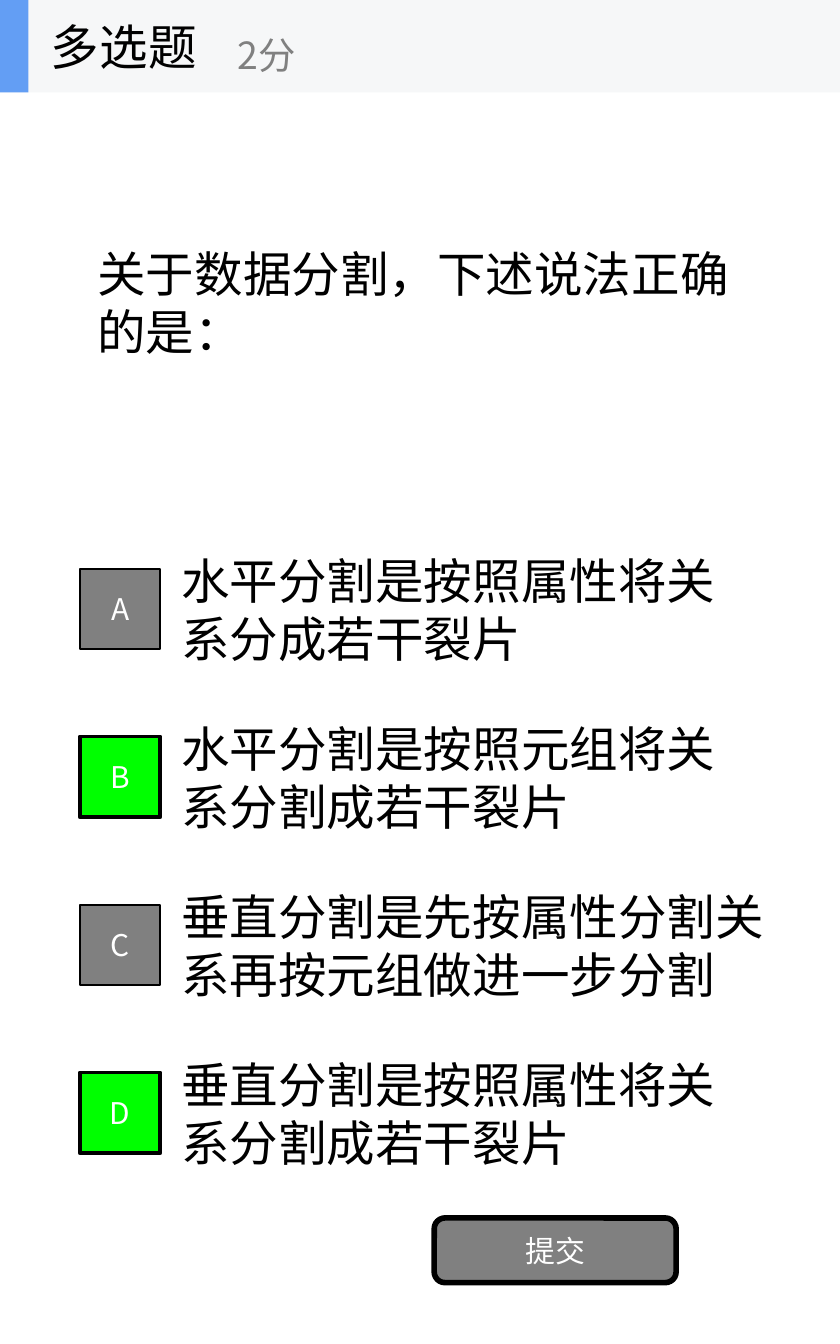
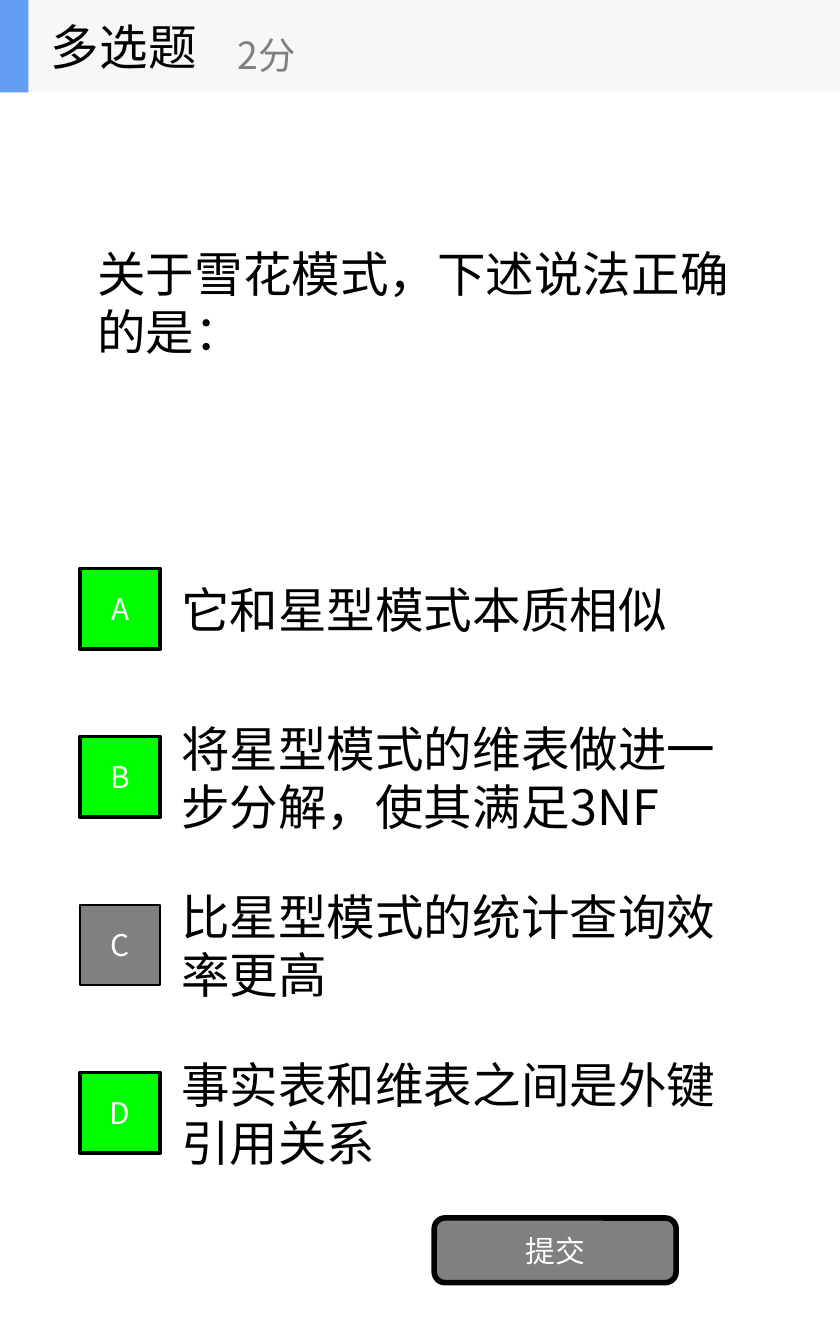
"""Builds two multiple-choice quiz pages on a 10 by 16 grid."""
from lxml import etree
from pptx import Presentation
from pptx import util as u
from pptx.dml import color
from pptx.enum import shapes, text
from pptx.oxml import ns

FONT = "Noto Sans CJK SC"
BLACK, WHITE, GREY, GREEN = "000000", "FFFFFF", "808080", "00FF00"
BAND, ACCENT = "F6F7F8", "639EF4"
CELL = u.Inches(0.625)
HEADER_ROWS, OPTION_ROWS, BADGE = 1.1, 1.5, 0.96
FIRST_OPTION, OPTION_STEP = 6.5, 2
RECT = shapes.MSO_SHAPE.RECTANGLE
ROUNDED = shapes.MSO_SHAPE.ROUNDED_RECTANGLE
LEFT, CENTER = text.PP_ALIGN.LEFT, text.PP_ALIGN.CENTER

QUESTIONS = [
    ("关于数据分割，下述说法正确的是：", "BD", [
        ("水平分割是按照属性将关系分成若干裂片", 7),
        ("水平分割是按照元组将关系分割成若干裂片", 7),
        ("垂直分割是先按属性分割关系再按元组做进一步分割", 7.78),
        ("垂直分割是按照属性将关系分割成若干裂片", 7)]),
    ("关于雪花模式，下述说法正确的是：", "ABD", [
        ("它和星型模式本质相似", 7),
        ("将星型模式的维表做进一步分解，使其满足3NF", 7),
        ("比星型模式的统计查询效率更高", 7),
        ("事实表和维表之间是外键引用关系", 7)]),
]


def rgb(value):
    return color.RGBColor.from_string(value)


def grid(*cells):
    return [round(CELL * cell) for cell in cells]


class Quiz:
    def __init__(self):
        self.deck = Presentation()
        self.deck.slide_width, self.deck.slide_height = grid(10, 16)
        self.page = None

    def new_page(self):
        self.page = self.deck.slides.add_slide(self.deck.slide_layouts[5])

    def fill_text(self, box, words, size, ink=BLACK, align=LEFT, wrap=True):
        frame = box.text_frame
        settings = {"word_wrap": wrap, "auto_size": text.MSO_AUTO_SIZE.NONE,
                    "vertical_anchor": text.MSO_ANCHOR.MIDDLE}
        for name, value in settings.items():
            setattr(frame, name, value)
        para = frame.paragraphs[0]
        para.alignment = align
        span = para.add_run()
        span.text = words
        for name, value in {"name": FONT, "size": u.Pt(size)}.items():
            setattr(span.font, name, value)
        span.font.color.rgb = rgb(ink)
        etree.SubElement(span.font._element, ns.qn("a:ea"), typeface=FONT)

    def title(self, cells, words):
        box = self.page.shapes.title
        for name, value in zip(("left", "top", "width", "height"), grid(*cells)):
            setattr(box, name, value)
        self.fill_text(box, words, 26)

    def label(self, cells, words, size=26, ink=BLACK, wrap=True, group=None):
        box = (group or self.page).shapes.add_textbox(*grid(*cells))
        self.fill_text(box, words, size, ink, wrap=wrap)

    def block(self, cells, fill, kind=RECT, border=0, words="", group=None):
        box = (group or self.page).shapes.add_shape(kind, *grid(*cells))
        box.shadow.inherit = False
        box.fill.solid()
        box.fill.fore_color.rgb = rgb(fill)
        if border:
            box.line.color.rgb = rgb(BLACK)
            box.line.width = u.Pt(border)
        else:
            box.line.fill.background()
        if words:
            self.fill_text(box, words, 16, WHITE, CENTER)

    def options(self, choices, answers):
        tops = [FIRST_OPTION + OPTION_STEP * row for row in range(len(choices))]
        for top, (words, width) in zip(tops, choices):
            self.label((2, top, width, OPTION_ROWS), words)
        for top, letter in zip(tops, "ABCD"):
            fill, border = (GREEN, 2) if letter in answers else (GREY, 1)
            middle = top + (OPTION_ROWS - BADGE) / 2
            self.block((0.95, middle, BADGE, BADGE), fill, border=border, words=letter)

    def header(self):
        group = self.page.shapes.add_group_shape()
        self.block((0, 0, 10, HEADER_ROWS), BAND, group=group)
        self.block((0, 0, 0.34, HEADER_ROWS), ACCENT, group=group)
        self.label((0.45, 0, 3.33, HEADER_ROWS), "多选题", wrap=False, group=group)
        self.label((2.67, 0.2, 4, 0.9), "2分", 20, GREY, False, group)


def main():
    quiz = Quiz()
    for question, answers, choices in QUESTIONS:
        quiz.new_page()
        quiz.title((1, HEADER_ROWS, 8, 5), question)
        quiz.options(choices, answers)
        quiz.block((5.17, 14.5, 2.88, 0.77), GREY, ROUNDED, 3, "提交")
        quiz.header()
    quiz.deck.save("out.pptx")


if __name__ == "__main__":
    main()
